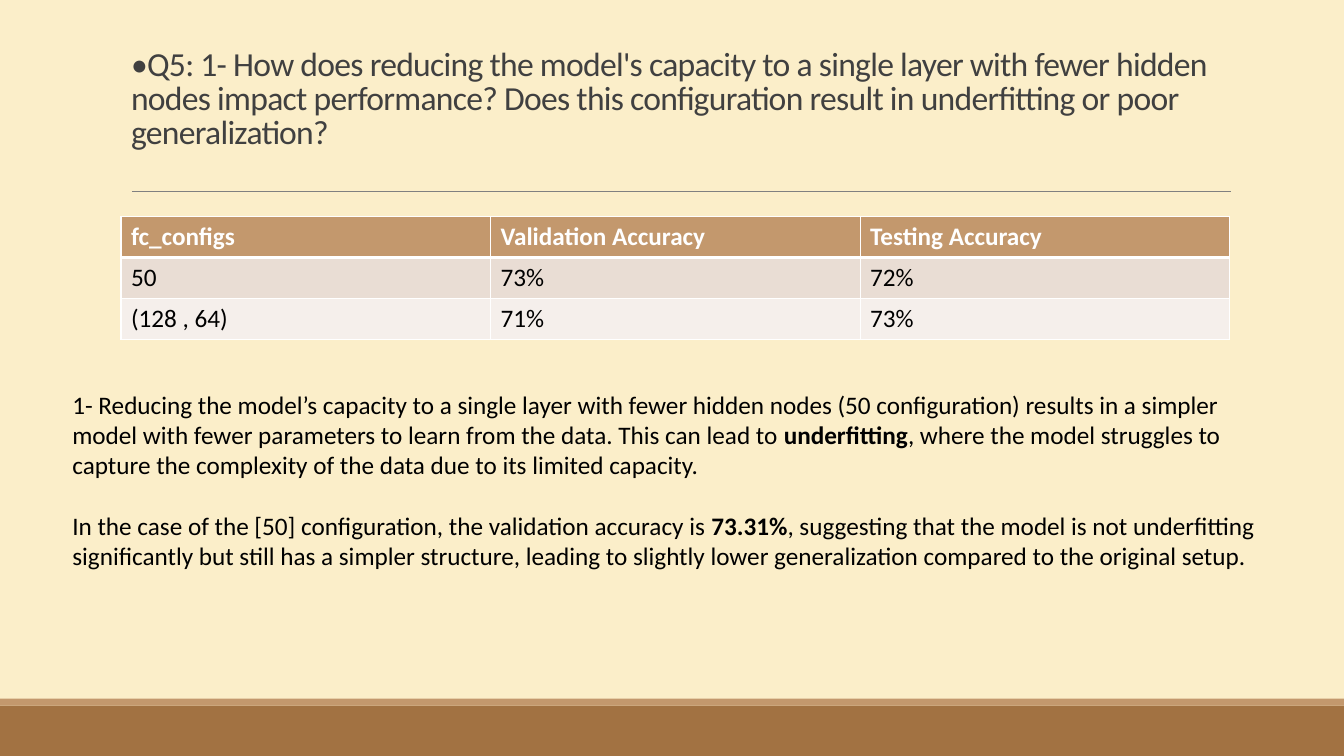
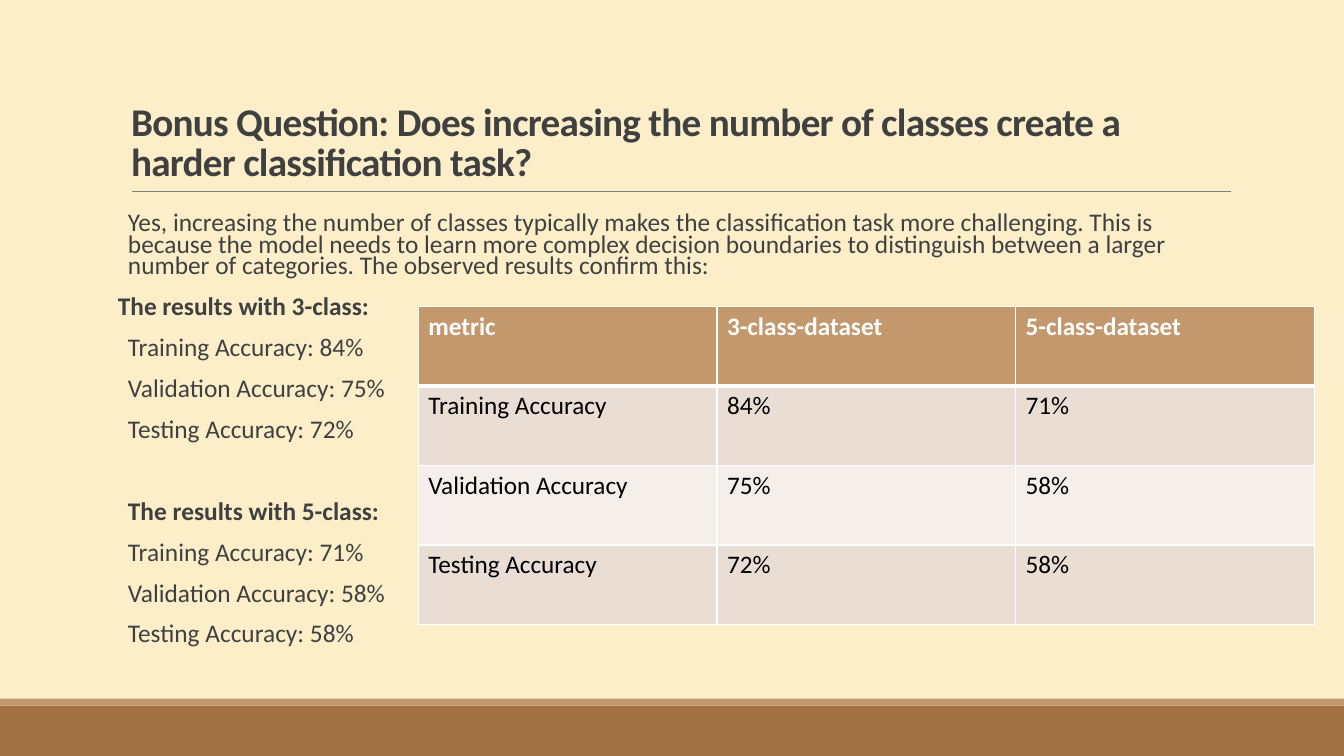
from lxml.etree import SubElement
from pptx import Presentation
from pptx.dml.color import RGBColor
from pptx.enum.shapes import MSO_CONNECTOR, MSO_SHAPE
from pptx.enum.text import MSO_ANCHOR, MSO_AUTO_SIZE, PP_ALIGN
from pptx.oxml.ns import qn
from pptx.util import Pt

WIDTH, HEIGHT = 960, 540
TITLE_ONLY, TITLE_AND_BODY = 5, 1


def color(hex_string):
    return RGBColor.from_string(hex_string)


class Deck:
    FONT = "Calibri"
    BACKGROUND, BAND, ACCENT, RULE = "FBEEC9", "A27242", "C3986D", "808080"
    INK, BLACK, WHITE = "404040", "000000", "FFFFFF"
    ROW_FILLS = ("E9DDD4", "F5EFEB")

    def __init__(self):
        self.presentation = Presentation()
        self.presentation.slide_width = Pt(WIDTH)
        self.presentation.slide_height = Pt(HEIGHT)
        background = self.presentation.slide_master.background.fill
        background.solid()
        background.fore_color.rgb = color(self.BACKGROUND)
        self.slide = None

    def new_slide(self, layout):
        layouts = self.presentation.slide_layouts
        self.slide = self.presentation.slides.add_slide(layouts[layout])
        self.band(504, 36, self.BAND)
        self.band(499, 5, self.ACCENT)
        self.rule(94.3, 879.1, 136.8)

    def band(self, top, height, fill):
        shape = self.slide.shapes.add_shape(
            MSO_SHAPE.RECTANGLE, 0, Pt(top), Pt(WIDTH), Pt(height))
        shape.shadow.inherit = False
        shape.fill.solid()
        shape.fill.fore_color.rgb = color(fill)
        shape.line.fill.background()

    def rule(self, left, right, top):
        connector = self.slide.shapes.add_connector(
            MSO_CONNECTOR.STRAIGHT, Pt(left), Pt(top), Pt(right), Pt(top))
        connector.line.color.rgb = color(self.RULE)
        connector.line.width = Pt(0.5)
        SubElement(connector._element.spPr, qn("a:effectLst"))

    def style(self, paragraph, size, ink, bold=False):
        for run in paragraph.runs:
            run.font.name = self.FONT
            run.font.size = Pt(size)
            run.font.bold = bold
            run.font.color.rgb = color(ink)

    def place(self, shape, left, top, width, height):
        shape.left, shape.top = Pt(left), Pt(top)
        shape.width, shape.height = Pt(width), Pt(height)
        shape.text_frame.auto_size = MSO_AUTO_SIZE.NONE
        shape.text_frame.word_wrap = True

    def title(self, text, top, size, bold=False, bottom_inset=3.6):
        title = self.slide.shapes.title
        self.place(title, 86.4, top, 792, 114.5)
        frame = title.text_frame
        frame.vertical_anchor = MSO_ANCHOR.BOTTOM
        frame.margin_bottom = Pt(bottom_inset)
        frame.text = text
        paragraph = frame.paragraphs[0]
        paragraph.alignment = PP_ALIGN.LEFT
        paragraph.line_spacing = 0.85
        self.style(paragraph, size, self.INK, bold)
        for run in paragraph.runs:
            run._r.get_or_add_rPr().set("spc", "-50")

    def body(self, items, left, top, width, height):
        """Each item is (text, bold, indent, space before)."""
        body = self.slide.placeholders[1]
        self.place(body, left, top, width, height)
        frame = body.text_frame
        frame.margin_left = frame.margin_right = 0
        frame.text = "\n".join(item[0] for item in items)
        for paragraph, item in zip(frame.paragraphs, items):
            _, bold, indent, space_before = item
            paragraph.line_spacing = 0.7
            paragraph.space_before = Pt(space_before)
            paragraph.space_after = Pt(2)
            self.style(paragraph, 18.1, self.INK, bold)
            properties = paragraph._p.get_or_add_pPr()
            properties.set("marL", str(Pt(indent)))
            properties.set("indent", "0")
            SubElement(properties, qn("a:buNone"))

    def text_box(self, paragraphs, left, top, width, height, gap):
        """Each paragraph is a list of texts, with every second one bold."""
        box = self.slide.shapes.add_textbox(0, 0, 0, 0)
        self.place(box, left, top, width, height)
        frame = box.text_frame
        for index, texts in enumerate(paragraphs):
            paragraph = frame.add_paragraph() if index else frame.paragraphs[0]
            paragraph.space_before = Pt(gap if index else 0)
            for text in texts:
                paragraph.add_run().text = text
            self.style(paragraph, 18, self.BLACK)
            for run in paragraph.runs[1::2]:
                run.font.bold = True

    def border(self, cell, side, width):
        line = SubElement(cell._tc.get_or_add_tcPr(), qn("a:ln" + side),
                          w=str(Pt(width)))
        fill = SubElement(line, qn("a:solidFill"))
        SubElement(fill, qn("a:srgbClr"), val=self.WHITE)

    def table(self, rows, left, top, width, row_height):
        frame = self.slide.shapes.add_table(
            len(rows), len(rows[0]), Pt(left), Pt(top),
            Pt(width), Pt(row_height * len(rows)))
        for row_index, row in enumerate(rows):
            header = row_index == 0
            fill = self.ACCENT if header else self.ROW_FILLS[(row_index - 1) % 2]
            for column_index, text in enumerate(row):
                cell = frame.table.cell(row_index, column_index)
                # A thick line parts the header from the first row
                widths = {"L": 1, "R": 1, "T": 3 if row_index == 1 else 1,
                          "B": 3 if header else 1}
                for side, line_width in widths.items():
                    self.border(cell, side, line_width)
                cell.fill.solid()
                cell.fill.fore_color.rgb = color(fill)
                cell.text_frame.text = text
                self.style(cell.text_frame.paragraphs[0], 18,
                           self.WHITE if header else self.BLACK, header)


def capacity_slide(deck):
    deck.new_slide(TITLE_ONLY)
    deck.title("•Q5: 1- How does reducing the model's capacity to a single layer "
               "with fewer hidden nodes impact performance? Does this "
               "configuration result in underfitting or poor generalization?",
               22.3, 24, bottom_inset=28.5)
    deck.table([("fc_configs", "Validation Accuracy", "Testing Accuracy"),
                ("50", "73%", "72%"),
                ("(128 , 64)", "71%", "73%")], 86.4, 154.8, 792, 29.2)
    deck.text_box([
        ["1- Reducing the model’s capacity to a single layer with fewer hidden "
         "nodes (50 configuration) results in a simpler model with fewer "
         "parameters to learn from the data. This can lead to ",
         "underfitting",
         ", where the model struggles to capture the complexity of the data "
         "due to its limited capacity."],
        ["In the case of the [50] configuration, the validation accuracy is ",
         "73.31%",
         ", suggesting that the model is not underfitting significantly but "
         "still has a simpler structure, leading to slightly lower "
         "generalization compared to the original setup."],
    ], 44.6, 274.3, 876, 160, gap=22)


def classes_slide(deck):
    metrics = [("Training Accuracy", "84%", "71%"),
               ("Validation Accuracy", "75%", "58%"),
               ("Testing Accuracy", "72%", "58%")]
    deck.new_slide(TITLE_AND_BODY)
    deck.title("Bonus Question: Does increasing the number of classes create "
               "a harder classification task?", 20.9, 28, bold=True)

    # Introduction, then one group of results for each dataset
    items = [("Yes, increasing the number of classes typically makes the "
              "classification task more challenging. This is because the model "
              "needs to learn more complex decision boundaries to distinguish "
              "between a larger number of categories. The observed results "
              "confirm this:", False, 7.2, 12)]
    groups = [("3-class", 1, 0, 12), ("5-class", 2, 7.2, 41.4)]
    for name, column, indent, space_before in groups:
        items.append((f"The results with {name}:", True, indent, space_before))
        items += [(f"{metric[0]}: {metric[column]}", False, 7.2, 12)
                  for metric in metrics]
    deck.body(items, 84.2, 149.8, 792, 316.8)

    deck.table([("metric", "3-class-dataset", "5-class-dataset"), *metrics],
               298.8, 218.9, 640, 56.8)


def main():
    deck = Deck()
    capacity_slide(deck)
    classes_slide(deck)
    deck.presentation.save("out.pptx")


if __name__ == "__main__":
    main()
